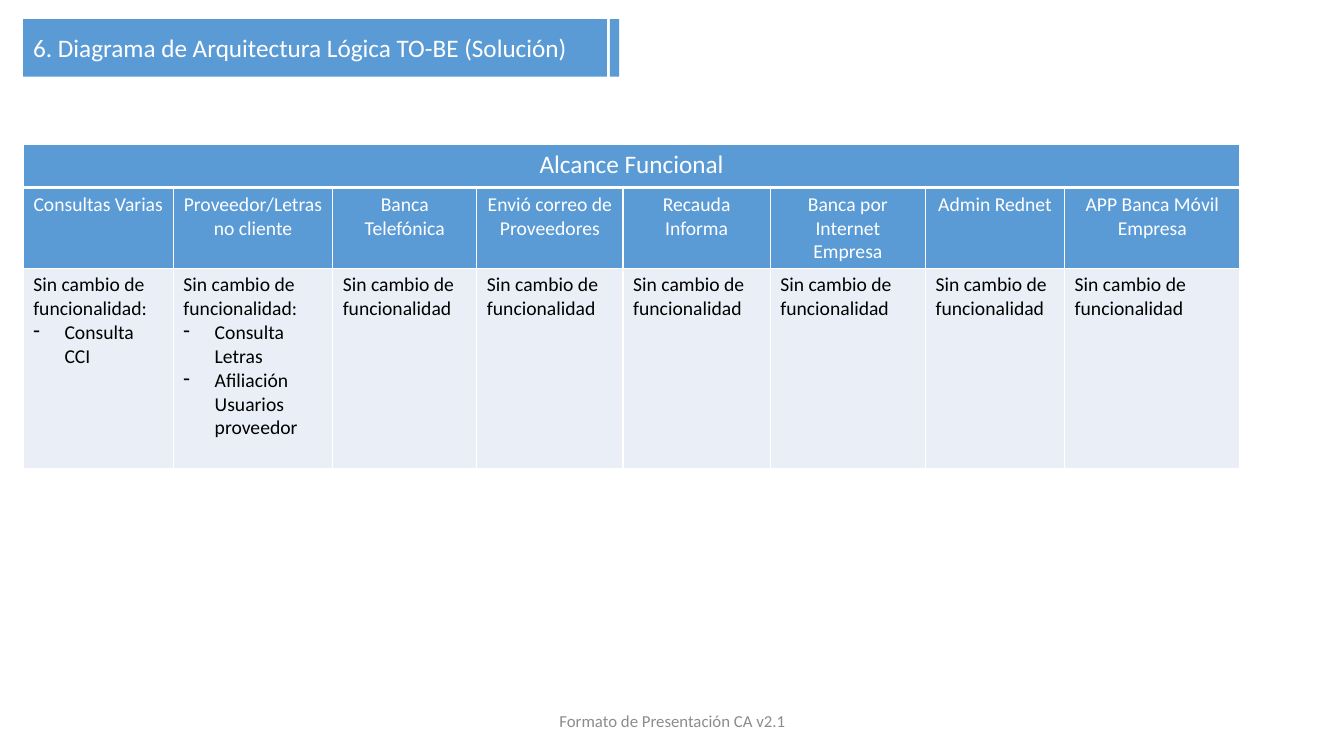
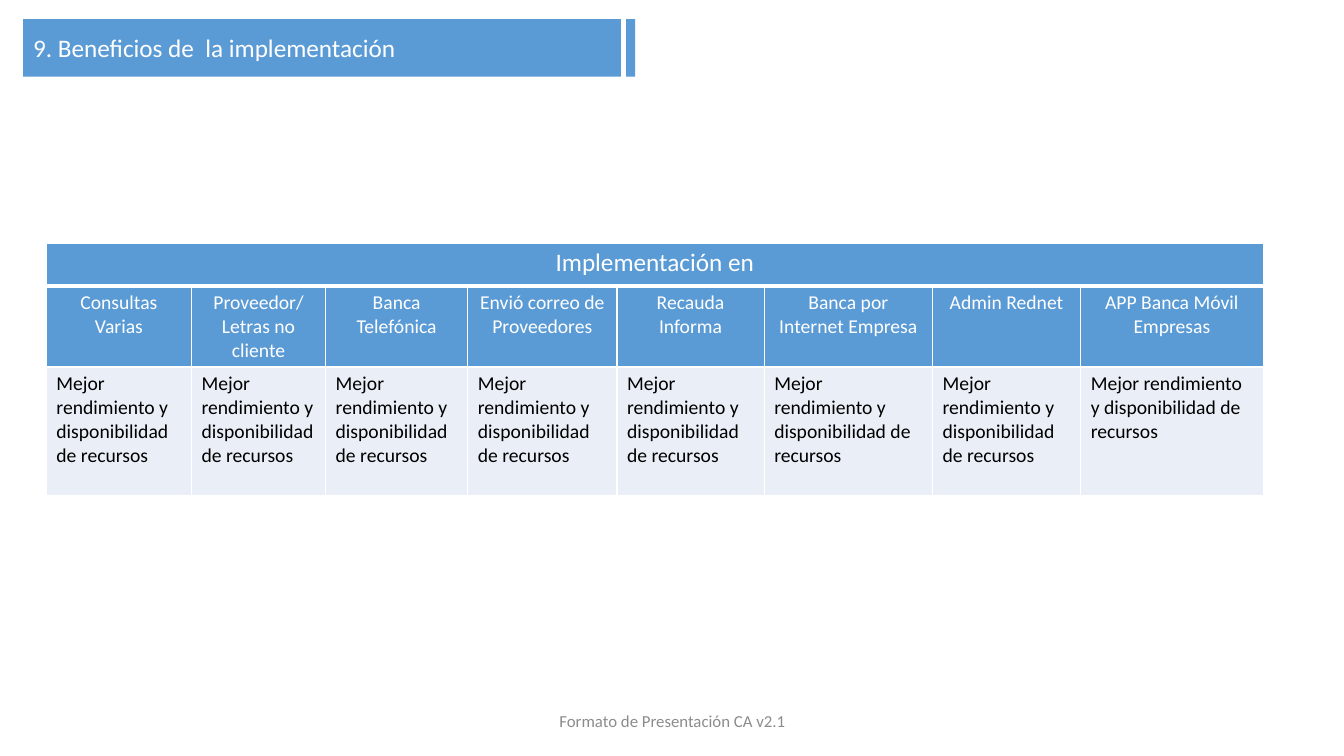
from pptx import Presentation
from pptx.dml.color import RGBColor
from pptx.enum.shapes import MSO_SHAPE
from pptx.enum.text import MSO_ANCHOR, PP_ALIGN
from pptx.oxml.ns import qn
from pptx.util import Inches, Pt
from lxml.etree import SubElement

# Content
FOOTER = "Formato de Presentación CA v2.1"
HEADS = ["Consultas Varias", "Proveedor/Letras no cliente", "Banca Telefónica",
         "Envió correo de Proveedores", "Recauda Informa",
         "Banca por Internet Empresa", "Admin Rednet"]
SAME = "Sin cambio de funcionalidad"
GAIN = "Mejor rendimiento y disponibilidad de recursos"

SLIDES = [
    {"title": "6. Diagrama de Arquitectura Lógica TO-BE (Solución)",
     "band": 5.79, "strip": 6.05, "at": (0.23, 1.43),
     "cols": [1.49, 1.58, 1.43, 1.45, 1.46, 1.54, 1.38, 1.74],
     "rows": [0.43, 0.8, 1.99],
     "top": "Alcance Funcional",
     "heads": HEADS + ["APP Banca Móvil Empresa"],
     "body": [[SAME + ":", "- Consulta CCI"],
              [SAME + ":", "- Consulta Letras", "- Afiliación Usuarios proveedor"]]
             + [[SAME]] * 6},
    {"title": "9. Beneficios de  la implementación",
     "band": 5.93, "strip": 6.21, "at": (0.46, 2.41),
     "cols": [1.44, 1.33, 1.41, 1.48, 1.46, 1.67, 1.47, 1.81],
     "rows": [0.43, 0.8, 1.28],
     "top": "Implementación en",
     "heads": HEADS + ["APP Banca Móvil Empresas"],
     "body": [[GAIN]] * 8},
]

# Shared style
FONT = "Calibri"
BLUE = RGBColor(0x5B, 0x9B, 0xD5)
PALE = RGBColor(0xEA, 0xEF, 0xF7)
WHITE = RGBColor(0xFF, 0xFF, 0xFF)
BLACK = RGBColor(0, 0, 0)
GRAY = RGBColor(0x8C, 0x8C, 0x8C)
LEFT, TOP, HIGH = 0.23, 0.19, 0.57
INDENT = Inches(0.31)


def put(frame, *lines, size=14, color=BLACK, align=PP_ALIGN.LEFT):
    """Write lines as paragraphs; a leading "- " makes a bullet."""
    frame.word_wrap = True
    for i, line in enumerate(lines):
        par = frame.paragraphs[0] if i == 0 else frame.add_paragraph()
        par.alignment = align
        if line.startswith("- "):
            line = line[2:]
            props = par._p.get_or_add_pPr()
            props.set("marL", str(INDENT))
            props.set("indent", str(-INDENT))
            SubElement(props, qn("a:buChar")).set("char", "-")
        run = par.add_run()
        run.text = line
        run.font.name, run.font.size = FONT, Pt(size)
        run.font.color.rgb = color


def bar(slide, left, width):
    shape = slide.shapes.add_shape(MSO_SHAPE.RECTANGLE, Inches(left), Inches(TOP),
                                   Inches(width), Inches(HIGH))
    shape.shadow.inherit = False
    shape.fill.solid()
    shape.fill.fore_color.rgb = BLUE
    shape.line.fill.background()
    return shape.text_frame


def frame(slide, title, band, strip):
    """Title band, thin strip and footer."""
    text = bar(slide, LEFT, band)
    text.vertical_anchor = MSO_ANCHOR.MIDDLE
    put(text, title, size=18, color=WHITE)
    bar(slide, strip, 0.09)
    foot = slide.shapes.add_textbox(Inches(4.42), Inches(6.95),
                                    Inches(4.5), Inches(0.4)).text_frame
    foot.vertical_anchor = MSO_ANCHOR.MIDDLE
    put(foot, FOOTER, size=12, color=GRAY, align=PP_ALIGN.CENTER)


def edge(cell, **widths):
    """White borders, 1 pt unless a side is given."""
    props = cell._tc.get_or_add_tcPr()
    for side in "LRTB":
        line = SubElement(props, qn("a:ln" + side))
        line.set("w", str(Pt(widths.get(side, 1))))
        fill = SubElement(line, qn("a:solidFill"))
        SubElement(fill, qn("a:srgbClr")).set("val", str(WHITE))


def grid(slide, at, cols, rows, top, heads, body):
    left, high = at
    table = slide.shapes.add_table(len(rows), len(cols), Inches(left), Inches(high),
                                   Inches(sum(cols)), Inches(sum(rows))).table
    for col, width in zip(table.columns, cols):
        col.width = Inches(width)
    for row, height in zip(table.rows, rows):
        row.height = Inches(height)
    # Borders and fills by row
    sides = [{"B": 3}, {"T": 3}, {}]
    for row, side, fill in zip(table.rows, sides, [BLUE, BLUE, PALE]):
        for cell in row.cells:
            edge(cell, **side)
            cell.fill.solid()
            cell.fill.fore_color.rgb = fill
    # Text
    table.cell(0, 0).merge(table.cell(0, len(cols) - 1))
    put(table.cell(0, 0).text_frame, top, size=18, color=WHITE,
        align=PP_ALIGN.CENTER)
    for c, (head, lines) in enumerate(zip(heads, body)):
        put(table.cell(1, c).text_frame, head, color=WHITE, align=PP_ALIGN.CENTER)
        put(table.cell(2, c).text_frame, *lines)


def main():
    deck = Presentation()
    deck.slide_width, deck.slide_height = Inches(13.33), Inches(7.5)
    for data in SLIDES:
        slide = deck.slides.add_slide(deck.slide_layouts[6])
        frame(slide, *(data[k] for k in ("title", "band", "strip")))
        grid(slide, *(data[k] for k in ("at", "cols", "rows", "top", "heads", "body")))
    deck.save("out.pptx")


if __name__ == "__main__":
    main()
